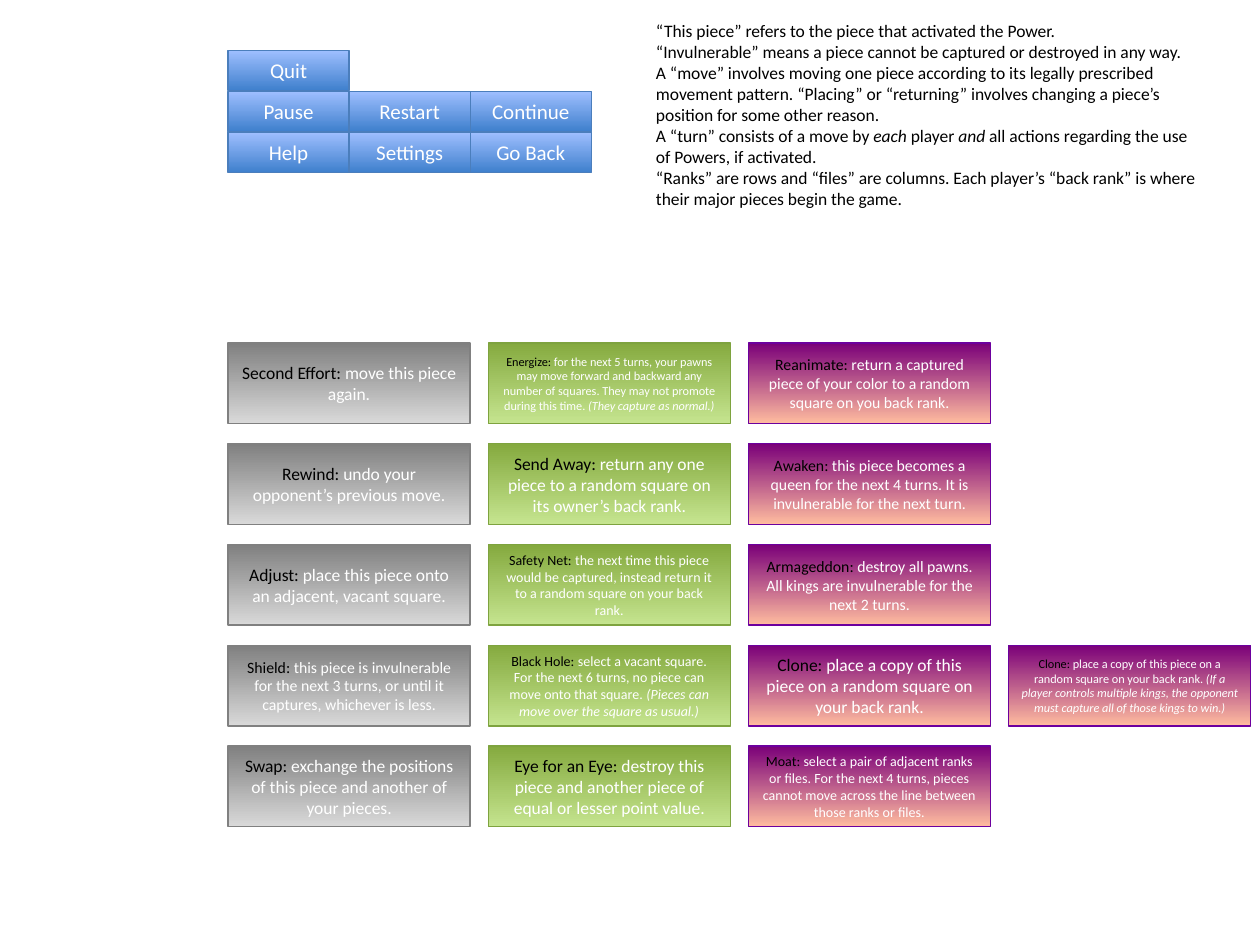
import pptx
import pptx.dml.color
import pptx.enum.shapes
import pptx.enum.text
import pptx.util

Pt = pptx.util.Pt
RGBColor = pptx.dml.color.RGBColor

BLACK = RGBColor(0x00, 0x00, 0x00)
WHITE = RGBColor(0xFF, 0xFF, 0xFF)

# Each theme: gradient top, gradient bottom, outline
BLUE = (RGBColor(0x9F, 0xBF, 0xFF), RGBColor(0x3F, 0x80, 0xCD), RGBColor(0x4B, 0x7E, 0xBC))
GRAY = (RGBColor(0x80, 0x80, 0x80), RGBColor(0xD9, 0xD9, 0xD9), RGBColor(0x80, 0x80, 0x80))
GREEN = (RGBColor(0x85, 0xAA, 0x3F), RGBColor(0xC5, 0xE4, 0x8F), RGBColor(0x7E, 0xA3, 0x3F))
PURPLE = (RGBColor(0x7A, 0x00, 0x79), RGBColor(0xFF, 0xBC, 0x9F), RGBColor(0x6C, 0x00, 0x9E))

LEFT = 130.3
BUTTON_TOP, BUTTON_WIDTH, BUTTON_HEIGHT, BUTTON_PITCH = 28.7, 69.2, 23.1, 23.4
CARD_TOP, CARD_WIDTH, CARD_HEIGHT = 196, 138.3, 46.1
CARD_COLUMN_PITCH, CARD_ROW_PITCH = 148.7, 57.6

BUTTON_ROWS = [["Quit"], ["Pause", "Restart", "Continue"], ["Help", "Settings", "Go Back"]]

# Each card: row, font size, power name, rule, optional remark in italics
CARD_COLUMNS = [
    (GRAY, [
        (0, 10, "Second Effort: ", "move this piece again."),
        (1, 10, "Rewind: ", "undo your opponent’s previous move."),
        (2, 10, "Adjust: ", "place this piece onto an adjacent, vacant square."),
        (3, 9, "Shield: ", "this piece is invulnerable for the next 3 turns, or until it "
                           "captures, whichever is less."),
        (4, 10, "Swap: ", "exchange the positions of this piece and another of your pieces."),
    ]),
    (GREEN, [
        (0, 7, "Energize: ", "for the next 5 turns, your pawns may move forward and backward "
                             "any number of squares. They may not promote during this time. ",
         "(They capture as normal.)"),
        (1, 10, "Send Away: ", "return any one piece to a random square on its owner’s back rank."),
        (2, 8, "Safety Net: ", "the next time this piece would be captured, instead return it "
                               "to a random square on your back rank."),
        (3, 8, "Black Hole: ", "select a vacant square. For the next 6 turns, no piece can move "
                               "onto that square. ",
         "(Pieces can move over the square as usual.)"),
        (4, 10, "Eye for an Eye: ", "destroy this piece and another piece of equal or lesser "
                                    "point value."),
    ]),
    (PURPLE, [
        (0, 9, "Reanimate: ", "return a captured piece of your color to a random square on you "
                              "back rank."),
        (1, 9, "Awaken: ", "this piece becomes a queen for the next 4 turns. It is invulnerable "
                           "for the next turn."),
        (2, 9, "Armageddon: ", "destroy all pawns. All kings are invulnerable for the next 2 turns."),
        (3, 10, "Clone: ", "place a copy of this piece on a random square on your back rank."),
        (4, 8, "Moat: ", "select a pair of adjacent ranks or files. For the next 4 turns, pieces "
                         "cannot move across the line between those ranks or files."),
    ]),
    (PURPLE, [
        (3, 7, "Clone: ", "place a copy of this piece on a random square on your back rank. ",
         "(If a player controls multiple kings, the opponent must capture all of those kings "
         "to win.)"),
    ]),
]

# Every second run of a paragraph is in italics
GLOSSARY = [
    ["“This piece” refers to the piece that activated the Power."],
    ["“Invulnerable” means a piece cannot be captured or destroyed in any way."],
    ["A “move” involves moving one piece according to its legally prescribed movement pattern. "
     "“Placing” or “returning” involves changing a piece’s position for some other reason."],
    ["A “turn” consists of a move by ", "each", " player ", "and",
     " all actions regarding the use of Powers, if activated."],
    ["“Ranks” are rows and “files” are columns. Each player’s “back rank” is where their major "
     "pieces begin the game."],
]


class SlideBuilder:
    def __init__(self, slide, font_name="Calibri"):
        self.slide = slide
        self.font_name = font_name

    def style(self, paragraph, size, color):
        paragraph.font.name = self.font_name
        paragraph.font.size = Pt(size)
        paragraph.font.color.rgb = color

    def panel(self, left, top, width, height, theme, size):
        """Add a gradient rectangle and return its empty centred paragraph."""
        shape = self.slide.shapes.add_shape(
            pptx.enum.shapes.MSO_SHAPE.RECTANGLE, Pt(left), Pt(top), Pt(width), Pt(height))
        shape.shadow.inherit = False
        start, end, outline = theme
        shape.fill.gradient()
        shape.fill.gradient_angle = 270
        for stop, color in zip(shape.fill.gradient_stops, (start, end)):
            stop.color.rgb = color
        shape.line.color.rgb = outline
        shape.line.width = Pt(0.75)
        shape.text_frame.word_wrap = True
        shape.text_frame.vertical_anchor = pptx.enum.text.MSO_ANCHOR.MIDDLE
        paragraph = shape.text_frame.paragraphs[0]
        paragraph.alignment = pptx.enum.text.PP_ALIGN.CENTER
        self.style(paragraph, size, WHITE)
        return paragraph

    def button(self, column, row, label):
        paragraph = self.panel(LEFT + column * BUTTON_WIDTH, BUTTON_TOP + row * BUTTON_PITCH,
                               BUTTON_WIDTH, BUTTON_HEIGHT, BLUE, 12)
        paragraph.add_run().text = label

    def card(self, column, row, theme, size, name, rule, remark=None):
        paragraph = self.panel(LEFT + column * CARD_COLUMN_PITCH, CARD_TOP + row * CARD_ROW_PITCH,
                               CARD_WIDTH, CARD_HEIGHT, theme, size)
        name_run = paragraph.add_run()
        name_run.text = name
        name_run.font.color.rgb = BLACK
        paragraph.add_run().text = rule
        if remark:
            remark_run = paragraph.add_run()
            remark_run.text = remark
            remark_run.font.italic = True

    def text_box(self, left, top, width, height, paragraphs, size):
        box = self.slide.shapes.add_textbox(Pt(left), Pt(top), Pt(width), Pt(height))
        frame = box.text_frame
        frame.word_wrap = True
        frame.auto_size = pptx.enum.text.MSO_AUTO_SIZE.SHAPE_TO_FIT_TEXT
        for index, texts in enumerate(paragraphs):
            paragraph = frame.add_paragraph() if index else frame.paragraphs[0]
            self.style(paragraph, size, BLACK)
            for position, text in enumerate(texts):
                run = paragraph.add_run()
                run.text = text
                if position % 2:
                    run.font.italic = True


def main():
    presentation = pptx.Presentation()
    presentation.slide_width, presentation.slide_height = Pt(720), Pt(540)
    blank_layout = presentation.slide_layouts[6]
    builder = SlideBuilder(presentation.slides.add_slide(blank_layout))

    for row, labels in enumerate(BUTTON_ROWS):
        for column, label in enumerate(labels):
            builder.button(column, row, label)
    for column, (theme, cards) in enumerate(CARD_COLUMNS):
        for row, *content in cards:
            builder.card(column, row, theme, *content)
    builder.text_box(367.8, 8, 327, 116.6, GLOSSARY, 10)

    presentation.save("out.pptx")


if __name__ == "__main__":
    main()
